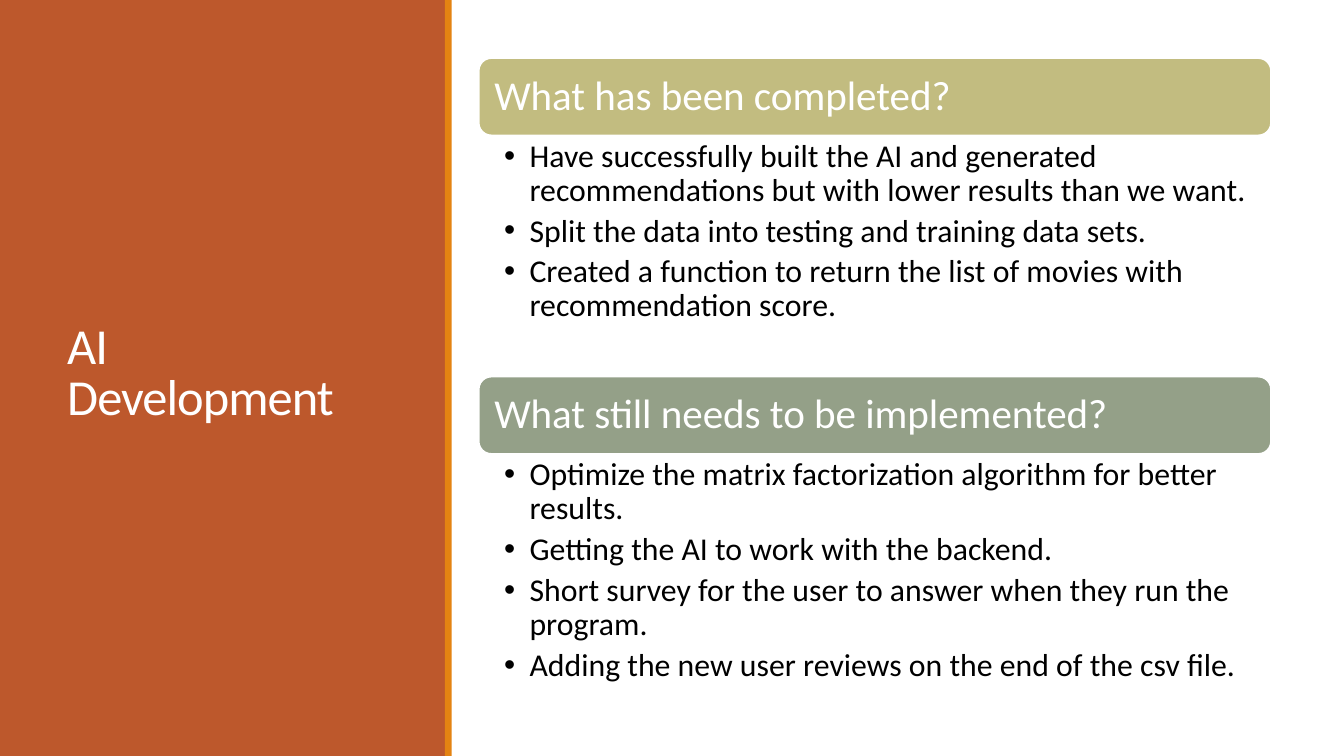
import pptx
import pptx.dml.color
import pptx.enum.shapes
import pptx.enum.text
import pptx.util
from pptx.util import Inches

COLORS = {
    "white": "FFFFFF",
    "black": "000000",
    "rust": "BD582C",
    "orange": "E48312",
    "olive": "C2BC80",
    "sage": "94A088",
}
FONT = "Calibri"
SLIDE_WIDTH = 10
SLIDE_HEIGHT = SLIDE_WIDTH * 9 / 16
HEADER_HEIGHT = 0.58

SECTIONS = [
    ("What has been completed?", "olive", [
        "Have successfully built the AI and generated recommendations "
        "but with lower results than we want.",
        "Split the data into testing and training data sets.",
        "Created a function to return the list of movies with recommendation score.",
    ]),
    ("What still needs to be implemented?", "sage", [
        "Optimize the matrix factorization algorithm for better results.",
        "Getting the AI to work with the backend.",
        "Short survey for the user to answer when they run the program.",
        "Adding the new user reviews on the end of the csv file.",
    ]),
]


def rgb(name):
    return pptx.dml.color.RGBColor.from_string(COLORS[name])


def place(shape, left, top, width, height):
    shape.left, shape.top = Inches(left), Inches(top)
    shape.width, shape.height = Inches(width), Inches(height)


def add_block(slide, kind, box, color):
    shape = slide.shapes.add_shape(kind, *map(Inches, box))
    shape.shadow.inherit = False
    shape.fill.solid()
    shape.fill.fore_color.rgb = rgb(color)
    shape.line.fill.background()
    return shape


def format_frame(frame, anchor, left, top, right, bottom):
    frame.word_wrap = True
    frame.auto_size = pptx.enum.text.MSO_AUTO_SIZE.NONE
    frame.vertical_anchor = anchor
    frame.margin_left, frame.margin_top = Inches(left), Inches(top)
    frame.margin_right, frame.margin_bottom = Inches(right), Inches(bottom)


def write(paragraph, text, size, color, line_spacing=0.9, space_after=0):
    paragraph.alignment = pptx.enum.text.PP_ALIGN.LEFT
    paragraph.line_spacing = line_spacing
    paragraph.space_before = pptx.util.Pt(0)
    paragraph.space_after = pptx.util.Pt(space_after)
    run = paragraph.add_run()
    run.text = text
    run.font.name = FONT
    run.font.size = pptx.util.Pt(size)
    run.font.color.rgb = rgb(color)
    return run


def build_title_panel(slide, left, top, width, height):
    """Fill the side panel, edge it with a stripe and set the title on it."""
    rectangle = pptx.enum.shapes.MSO_SHAPE.RECTANGLE
    title = slide.shapes.title
    panel = add_block(slide, rectangle, (left, top, width, height), "rust")
    add_block(slide, rectangle, (left + width - 0.01, top, 0.05, height), "orange")
    title.element.addprevious(panel.element)  # keeps the title in front

    place(title, left + 0.4, top + 0.42, 2.53, 4.73)
    format_frame(title.text_frame, pptx.enum.text.MSO_ANCHOR.MIDDLE, 0.1, 0.05, 0.2, 0.05)
    run = write(title.text_frame.paragraphs[0], "AI Development", 27, "white", 0.85)
    run.font._element.set("spc", "-50")


def build_section(slide, body, section, left, top, width, height):
    """Stack a rounded heading bar and its bullet list in the given box."""
    heading, color, items = section
    bar = add_block(slide, pptx.enum.shapes.MSO_SHAPE.ROUNDED_RECTANGLE,
                    (left, top, width, HEADER_HEIGHT), color)
    bar.line.color.rgb = rgb("white")
    bar.line.width = pptx.util.Pt(1.25)
    format_frame(bar.text_frame, pptx.enum.text.MSO_ANCHOR.MIDDLE, 0.09, 0.09, 0.09, 0.09)
    write(bar.text_frame.paragraphs[0], heading, 22, "white")

    place(body, left, top + HEADER_HEIGHT, width, height - HEADER_HEIGHT)
    frame = body.text_frame
    format_frame(frame, pptx.enum.text.MSO_ANCHOR.TOP, 0.19, 0.03, 0.17, 0.03)
    for index, item in enumerate(items):
        paragraph = frame.add_paragraph() if index else frame.paragraphs[0]
        write(paragraph, item, 17, "black", space_after=3.4)
        properties = paragraph._p.get_or_add_pPr()
        properties.set("marL", str(Inches(0.19)))
        properties.set("indent", str(Inches(-0.19)))
        bullet = pptx.oxml.xmlchemy.OxmlElement("a:buChar")
        bullet.set("char", "•")
        properties.append(bullet)


def main():
    presentation = pptx.Presentation()
    presentation.slide_width = Inches(SLIDE_WIDTH)
    presentation.slide_height = Inches(SLIDE_HEIGHT)
    two_content = presentation.slide_layouts[3]
    slide = presentation.slides.add_slide(two_content)
    bodies = [slide.placeholders[1], slide.placeholders[2]]

    build_title_panel(slide, 0, 0, 3.32, SLIDE_HEIGHT)
    section_height = 2.37
    for index, (body, section) in enumerate(zip(bodies, SECTIONS)):
        build_section(slide, body, section,
                      3.56, 0.43 + index * section_height, 5.9, section_height)
    presentation.save("out.pptx")


if __name__ == "__main__":
    main()
